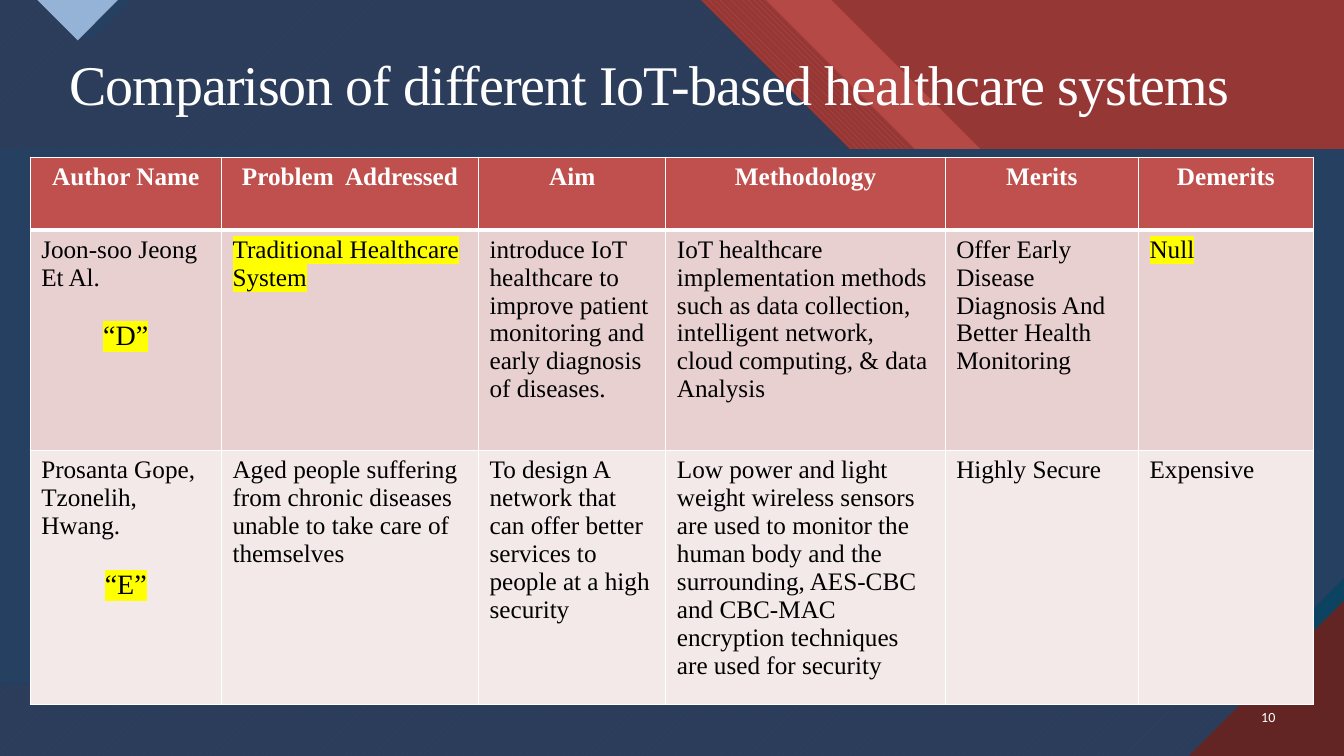
from dataclasses import dataclass

from lxml import etree
from pptx import Presentation
from pptx import util as u
from pptx.dml.color import RGBColor
from pptx.enum import dml, shapes, text
from pptx.oxml import ns


@dataclass(frozen=True)
class Theme:
    white: str = "FFFFFF"
    black: str = "000000"
    red: str = "C0504D"
    brick: str = "953735"
    maroon: str = "632523"
    navy: str = "254061"
    teal: str = "0C4360"
    sky: str = "95B3D7"
    rose: str = "E8D0D0"
    blush: str = "F4E9E9"
    marker: str = "FFFF00"
    serif: str = "Times New Roman"
    sans: str = "Calibri"
    title_size: int = 40
    label_size: int = 20
    body_size: int = 18
    number_size: int = 10


THEME = Theme()
WIDTH, HEIGHT = 33.87, 19.05
PANEL_TOP, PANEL_BOTTOM, PANEL_CUT = 3.76, 17.22, 2.65
CORNER = 3.91
COLUMNS = [4.82, 6.48, 4.72, 7.04, 4.87, 4.41]
ROWS = [1.83, 5.56, 6.32]
HEADINGS = ["Author Name", "Problem  Addressed", "Aim", "Methodology", "Merits", "Demerits"]
STUDIES = [
    ["Joon-soo Jeong Et Al.\n“D”",
     "Traditional Healthcare System",
     "introduce IoT healthcare to improve patient monitoring and early diagnosis of diseases.",
     "IoT healthcare implementation methods such as data collection, intelligent network, "
     "cloud computing, & data Analysis",
     "Offer Early Disease Diagnosis And Better Health Monitoring",
     "Null"],
    ["Prosanta Gope, Tzonelih, Hwang.\n“E”",
     "Aged people suffering from chronic diseases unable to take care of themselves",
     "To design A network that can offer better services to people at a high security",
     "Low power and light weight wireless sensors are used to monitor the human body and the "
     "surrounding, AES-CBC and CBC-MAC encryption techniques are used for security",
     "Highly Secure",
     "Expensive"],
]
MARKED = {"“D”", "“E”", "Traditional Healthcare System", "Null"}


def rgb(color):
    return RGBColor.from_string(color)


def add_xml(parent, tag, **attributes):
    return etree.SubElement(parent, ns.qn(tag), **attributes)


def paint(shape, color, opacity=100, pattern=None, back=None):
    shape.shadow.inherit = False
    shape.line.fill.background()
    if pattern:
        shape.fill.patterned()
        shape.fill.pattern = pattern
        shape.fill.fore_color.rgb = rgb(color)
        shape.fill.back_color.rgb = rgb(back)
        return
    shape.fill.solid()
    shape.fill.fore_color.rgb = rgb(color)
    if opacity < 100:
        value = shape.fill._xPr.find(".//" + ns.qn("a:srgbClr"))
        add_xml(value, "a:alpha", val=str(opacity * 1000))


def add_polygon(page, points, color, **look):
    start, *rest = [(u.Cm(x), u.Cm(y)) for x, y in points]
    builder = page.shapes.build_freeform(*start, scale=1.0)
    builder.add_line_segments(rest, close=True)
    paint(builder.convert_to_shape(), color, **look)


def add_layer(page, edge, color, **look):
    """Fill the page left of a stepped diagonal that starts at edge."""
    step, ledge = 7.54, edge + 10.74
    points = [(0, 0), (edge, 0), (edge + step, step), (ledge, step),
              (WIDTH, step + WIDTH - ledge), (WIDTH, HEIGHT), (0, HEIGHT)]
    add_polygon(page, points, color, **look)


def format_span(span, size, color, font=THEME.serif, bold=False, marked=False):
    span.font.size = u.Pt(size)
    span.font.name = font
    span.font.bold = bold
    span.font.color.rgb = rgb(color)
    if marked:
        highlight = etree.Element(ns.qn("a:highlight"))
        add_xml(highlight, "a:srgbClr", val=THEME.marker)
        span.font._element.find(ns.qn("a:solidFill")).addnext(highlight)


def add_text(page, box_at, words, size, font, align, anchor):
    box = page.shapes.add_textbox(*map(u.Cm, box_at))
    frame = box.text_frame
    frame.word_wrap = True
    frame.vertical_anchor = anchor
    frame.text = words
    para = frame.paragraphs[0]
    para.alignment = align
    format_span(para.runs[0], size, THEME.white, font)
    return para


def add_borders(cell, bottom):
    properties = cell._tc.get_or_add_tcPr()
    widths = {"a:lnL": 1, "a:lnR": 1, "a:lnT": 1, "a:lnB": bottom}
    for place, (tag, width) in enumerate(widths.items()):
        line = etree.Element(ns.qn(tag), w=str(u.Pt(width)))
        add_xml(add_xml(line, "a:solidFill"), "a:srgbClr", val=THEME.white)
        properties.insert(place, line)


def fill_cell(cell, words, fill, heading):
    cell.fill.solid()
    cell.fill.fore_color.rgb = rgb(fill)
    cell.margin_left = cell.margin_right = u.Cm(0.28)
    cell.margin_top = cell.margin_bottom = u.Cm(0.15)
    add_borders(cell, 3 if heading else 1)
    cell.text_frame.text = words
    for index, para in enumerate(cell.text_frame.paragraphs):
        label = index > 0
        if heading or label:
            para.alignment = text.PP_ALIGN.CENTER
        if label:
            para.space_before = u.Pt(21)
        format_span(para.runs[0], THEME.label_size if label else THEME.body_size,
                    THEME.white if heading else THEME.black,
                    bold=heading, marked=para.text in MARKED)


def add_comparison(page):
    frame = page.shapes.add_table(len(ROWS), len(COLUMNS), u.Cm(0.76), u.Cm(3.96),
                                  u.Cm(sum(COLUMNS)), u.Cm(sum(ROWS)))
    table = frame.table
    table.horz_banding = False
    for column, width in zip(table.columns, COLUMNS):
        column.width = u.Cm(width)
    fills = [THEME.red, THEME.rose, THEME.blush]
    for r, (height, fill, row) in enumerate(zip(ROWS, fills, [HEADINGS, *STUDIES])):
        table.rows[r].height = u.Cm(height)
        for c, words in enumerate(row):
            fill_cell(table.cell(r, c), words, fill, r == 0)


def add_backdrop(page):
    page.background.fill.solid()
    page.background.fill.fore_color.rgb = rgb(THEME.brick)
    # Diagonal layers, from right to left
    add_layer(page, 20.95, THEME.red, opacity=74)
    add_layer(page, 19.3, THEME.red, back=THEME.brick,
              pattern=dml.MSO_PATTERN.WIDE_DOWNWARD_DIAGONAL)
    add_layer(page, 17.65, THEME.red, back=THEME.maroon,
              pattern=dml.MSO_PATTERN.WIDE_UPWARD_DIAGONAL)
    add_layer(page, 17.65, THEME.navy, opacity=90)
    # Pointers at the top edge
    add_polygon(page, [(1.22, 0), (2.29, 1.04), (3.33, 0)], THEME.navy)
    add_polygon(page, [(0.94, 0), (1.96, 1.02), (2.97, 0)], THEME.sky)
    # Panel with a cut corner
    panel = page.shapes.add_shape(shapes.MSO_SHAPE.RECTANGLE, 0, u.Cm(PANEL_TOP),
                                  u.Cm(WIDTH), u.Cm(PANEL_BOTTOM - PANEL_TOP))
    paint(panel, THEME.teal)
    add_polygon(page, [(0, PANEL_TOP), (WIDTH, PANEL_TOP), (WIDTH, PANEL_BOTTOM - PANEL_CUT),
                       (WIDTH - PANEL_CUT, PANEL_BOTTOM), (0, PANEL_BOTTOM)], THEME.navy)
    # Bottom right corner
    add_polygon(page, [(WIDTH - CORNER, HEIGHT), (WIDTH, HEIGHT), (WIDTH, HEIGHT - CORNER)],
                THEME.maroon)


def main():
    deck = Presentation()
    deck.slide_width, deck.slide_height = u.Cm(WIDTH), u.Cm(HEIGHT)
    page = deck.slides.add_slide(deck.slide_layouts[6])
    add_backdrop(page)
    # Title and page number
    title = add_text(page, (1.5, 1.32, 32, 1.8),
                     "Comparison of different IoT-based healthcare systems",
                     THEME.title_size, THEME.serif, text.PP_ALIGN.LEFT, text.MSO_ANCHOR.TOP)
    title.line_spacing = 0.9
    title.runs[0].font._element.set("spc", "-70")
    add_text(page, (31.27, 17.55, 1.12, 1.02), "10", THEME.number_size, THEME.sans,
             text.PP_ALIGN.RIGHT, text.MSO_ANCHOR.MIDDLE)
    # Comparison table
    add_comparison(page)
    deck.save("out.pptx")


if __name__ == "__main__":
    main()
